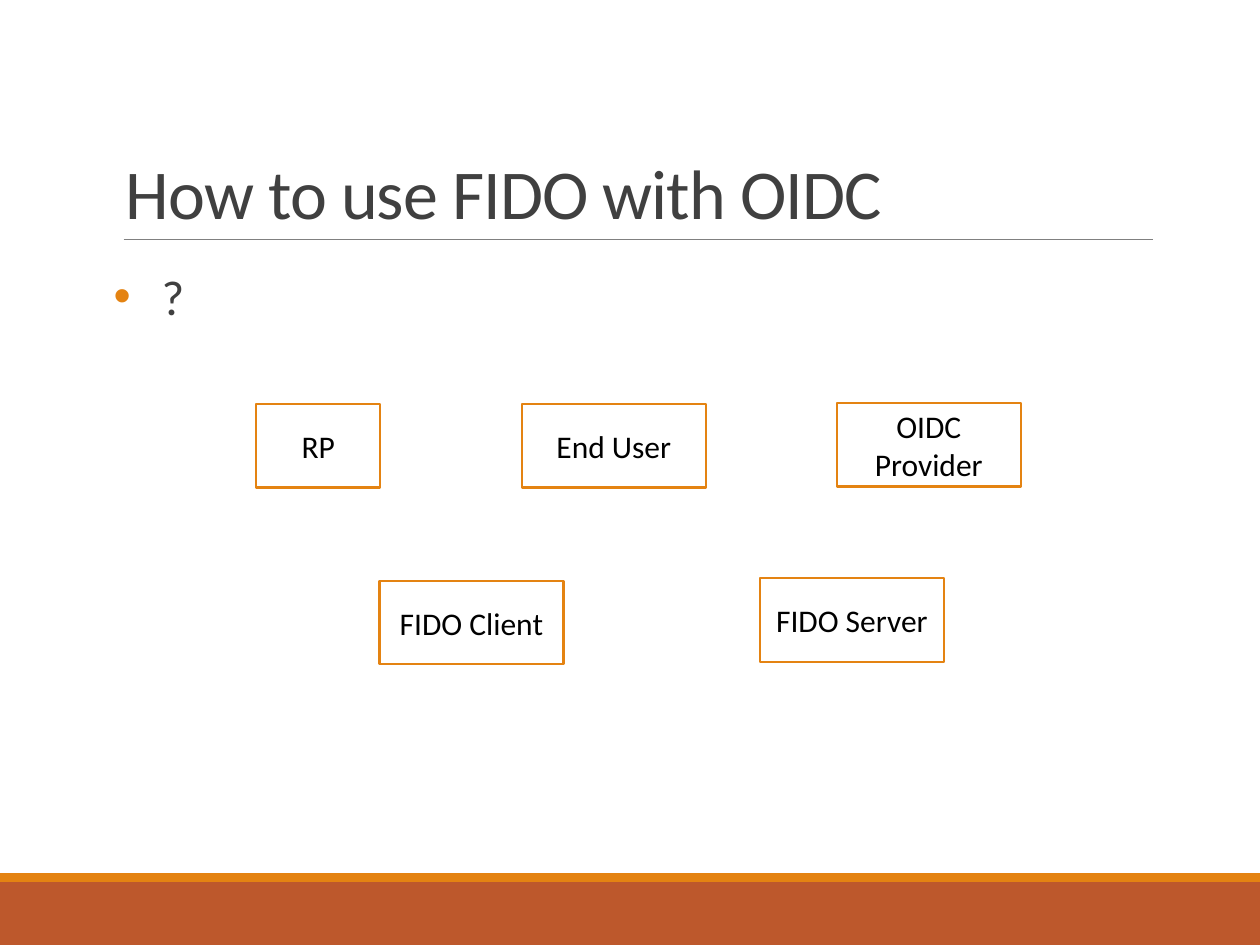
from dataclasses import dataclass

from lxml import etree
from pptx import Presentation
from pptx import util as u
from pptx.dml.color import RGBColor
from pptx.enum import shapes, text
from pptx.oxml import ns


@dataclass(frozen=True)
class Theme:
    font: str = "Calibri"
    ink: RGBColor = RGBColor(0x40, 0x40, 0x40)
    label: RGBColor = RGBColor(0, 0, 0)
    paper: RGBColor = RGBColor(0xFF, 0xFF, 0xFF)
    accent: RGBColor = RGBColor(0xE4, 0x83, 0x12)
    footer: RGBColor = RGBColor(0xBD, 0x58, 0x2C)
    rule: RGBColor = RGBColor(0x80, 0x80, 0x80)
    title_size: int = 40
    body_size: int = 28
    label_size: int = 18


@dataclass(frozen=True)
class Party:
    name: str
    left: float
    top: float
    width: float = 3.71
    height: float = 1.68


THEME = Theme()
PAGE_WIDTH, PAGE_HEIGHT = 25.4, 19.05
TEXT_LEFT, TEXT_WIDTH = 2.29, 20.96
RULE_LEFT, RULE_RIGHT, RULE_TOP = 2.49, 23.24, 4.83
FOOTER_HEIGHT, STRIPE_HEIGHT = 1.27, 0.18
BULLET_INDENT = 0.97

PARTIES = (
    Party("RP", 5.16, 8.15, width=2.51),
    Party("End User", 10.52, 8.15),
    Party("OIDC Provider", 16.87, 8.13),
    Party("FIDO Server", 15.32, 11.66),
    Party("FIDO Client", 7.65, 11.71),
)


def add_span(para, wording: str, size: int, color: RGBColor):
    span = para.add_run()
    span.text = wording
    span.font.name = THEME.font
    span.font.size = u.Pt(size)
    span.font.color.rgb = color
    return span


def add_rectangle(page, left: float, top: float, width: float, height: float,
                  fill: RGBColor):
    box = page.shapes.add_shape(shapes.MSO_SHAPE.RECTANGLE, u.Cm(left), u.Cm(top),
                                u.Cm(width), u.Cm(height))
    box.shadow.inherit = False
    box.fill.solid()
    box.fill.fore_color.rgb = fill
    box.line.fill.background()
    return box


def add_text_box(page, top: float, height: float):
    box = page.shapes.add_textbox(u.Cm(TEXT_LEFT), u.Cm(top),
                                  u.Cm(TEXT_WIDTH), u.Cm(height))
    box.text_frame.word_wrap = True
    return box.text_frame


def add_footer(page) -> None:
    top = PAGE_HEIGHT - FOOTER_HEIGHT
    add_rectangle(page, 0, top, PAGE_WIDTH, FOOTER_HEIGHT, THEME.footer)
    add_rectangle(page, 0, top - STRIPE_HEIGHT, PAGE_WIDTH, STRIPE_HEIGHT, THEME.accent)


def add_title_rule(page) -> None:
    rule = page.shapes.add_connector(
        shapes.MSO_CONNECTOR.STRAIGHT, u.Cm(RULE_LEFT), u.Cm(RULE_TOP),
        u.Cm(RULE_RIGHT), u.Cm(RULE_TOP))
    rule.line.color.rgb = THEME.rule
    rule.line.width = u.Pt(0.5)
    etree.SubElement(rule._element.spPr, ns.qn("a:effectLst"))


def add_title(page, wording: str) -> None:
    frame = add_text_box(page, 0.79, 4.04)
    frame.vertical_anchor = text.MSO_ANCHOR.BOTTOM
    para = frame.paragraphs[0]
    para.line_spacing = 0.85
    span = add_span(para, wording, THEME.title_size, THEME.ink)
    span.font._element.set("spc", "-50")


def add_bullet(para) -> None:
    """Give the paragraph a hanging, accent-coloured bullet."""
    props = para._p.get_or_add_pPr()
    indent = u.Cm(BULLET_INDENT)
    props.set("marL", str(indent))
    props.set("indent", str(-indent))
    color = etree.SubElement(props, ns.qn("a:buClr"))
    etree.SubElement(color, ns.qn("a:srgbClr"), val=str(THEME.accent))
    etree.SubElement(props, ns.qn("a:buFont"), typeface="Arial")
    etree.SubElement(props, ns.qn("a:buChar"), char="•")


def add_body(page, wording: str) -> None:
    frame = add_text_box(page, 5.13, 11.18)
    frame.margin_left = frame.margin_right = 0
    para = frame.paragraphs[0]
    add_bullet(para)
    para.line_spacing = 1.1
    para.space_after = u.Pt(4)
    add_span(para, wording, THEME.body_size, THEME.ink)


def add_party(page, party: Party) -> None:
    box = add_rectangle(page, party.left, party.top, party.width, party.height,
                        THEME.paper)
    box.line.color.rgb = THEME.accent
    box.line.width = u.Pt(1.25)
    frame = box.text_frame
    frame.word_wrap = True
    frame.vertical_anchor = text.MSO_ANCHOR.MIDDLE
    para = frame.paragraphs[0]
    para.alignment = text.PP_ALIGN.CENTER
    add_span(para, party.name, THEME.label_size, THEME.label)


def main() -> None:
    deck = Presentation()
    deck.slide_width, deck.slide_height = u.Cm(PAGE_WIDTH), u.Cm(PAGE_HEIGHT)
    page = deck.slides.add_slide(deck.slide_layouts[6])
    add_footer(page)
    add_title_rule(page)
    add_title(page, "How to use FIDO with OIDC")
    add_body(page, "?")
    for party in PARTIES:
        add_party(page, party)
    deck.save("out.pptx")


if __name__ == "__main__":
    main()
